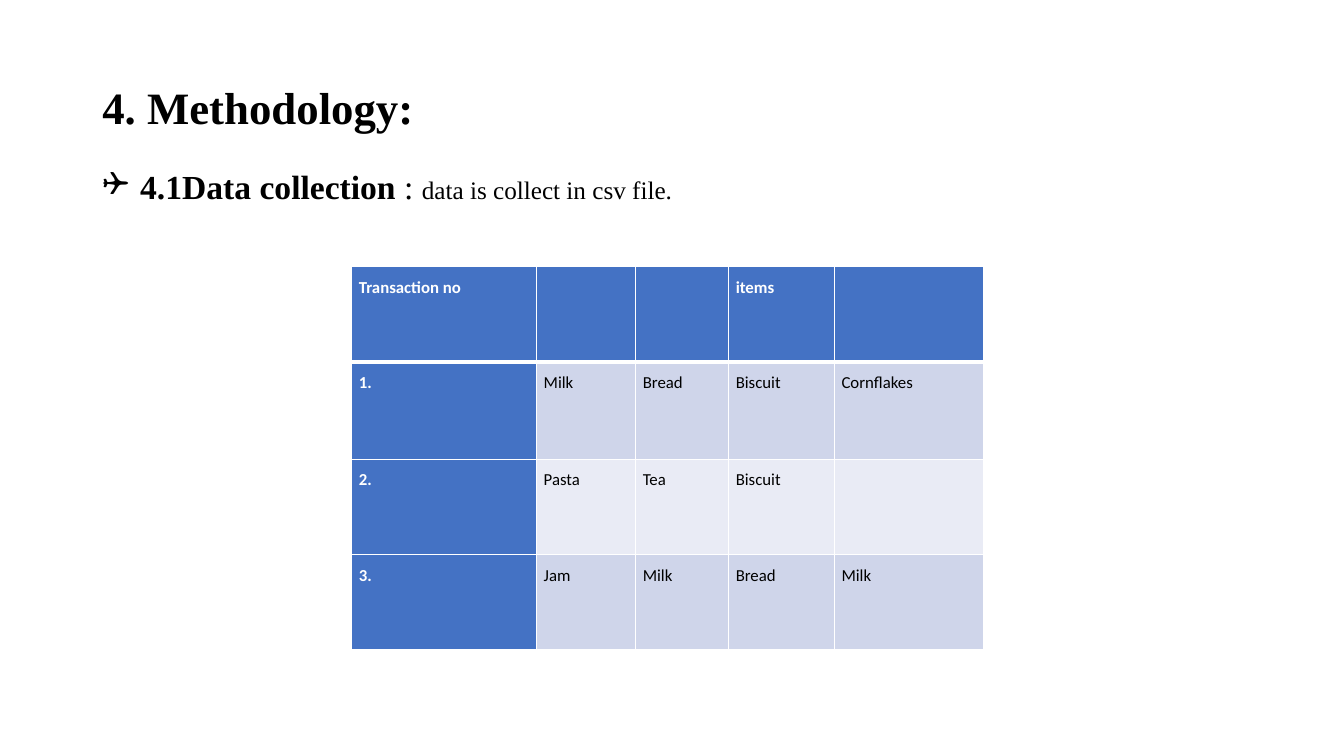
from lxml import etree
from pptx import Presentation
from pptx.dml.color import RGBColor
from pptx.enum.text import MSO_ANCHOR, PP_ALIGN
from pptx.oxml.ns import qn
from pptx.util import Pt

MIDDLE, TOP = MSO_ANCHOR.MIDDLE, MSO_ANCHOR.TOP
JUSTIFY = PP_ALIGN.JUSTIFY
SERIF, SANS = "Times New Roman", "Calibri"
BLACK, WHITE, BLUE = "000000", "FFFFFF", "4472C4"
BANDS = ["CFD5EA", "E9EBF5"]


def add_run(para, text, size, font, color, bold):
    """Append one styled run to a paragraph."""
    run = para.add_run()
    run.text = text
    run.font.size = Pt(size)
    run.font.name = font
    run.font.bold = bold
    run.font.color.rgb = RGBColor.from_string(color)


def add_box(top, height, anchor):
    """Add a full-width text box and return its first paragraph."""
    box = slide.shapes.add_textbox(Pt(66), Pt(top), Pt(828), Pt(height))
    box.text_frame.word_wrap = True
    box.text_frame.vertical_anchor = anchor
    para = box.text_frame.paragraphs[0]
    para.line_spacing = 0.9
    return para


deck = Presentation()
deck.slide_width, deck.slide_height = Pt(960), Pt(540)
slide = deck.slides.add_slide(deck.slide_layouts[6])

# Heading
title = add_box(26.6, 104.4, MIDDLE)
add_run(title, "4. Methodology:", 32, SERIF, BLACK, True)

# Bulleted step
step = add_box(118, 368.6, TOP)
step.space_before = Pt(10)
props = step._p.get_or_add_pPr()
props.set("marL", str(Pt(27)))
props.set("indent", str(Pt(-27)))
etree.SubElement(props, qn("a:buFont")).set("typeface", "Wingdings")
etree.SubElement(props, qn("a:buChar")).set("char", "\u2751")
add_run(step, "4.1Data collection ", 24, SERIF, BLACK, True)
add_run(step, ": ", 24, SERIF, BLACK, False)
add_run(step, "data is collect in csv file.", 18, SERIF, BLACK, False)

# Transactions table
rows = [
    ["Transaction no", "", "", "items", ""],
    ["1.", "Milk", "Bread", "Biscuit", "Cornflakes"],
    ["2.", "Pasta", "Tea", "Biscuit", ""],
    ["3.", "Jam", "Milk", "Bread", "Milk"],
]
widths = [132, 70.8, 66.4, 75.6, 106.6]
heights = [68, 69.8, 68, 68]
table = slide.shapes.add_table(
    len(rows), len(widths), Pt(251.2), Pt(190.6), Pt(sum(widths)), Pt(sum(heights))
).table
for col, width in zip(table.columns, widths):
    col.width = Pt(width)
for row, height in zip(table.rows, heights):
    row.height = Pt(height)

for r, words in enumerate(rows):
    for c, word in enumerate(words):
        cell = table.cell(r, c)
        head = r == 0 or c == 0
        cell.fill.solid()
        fill = BLUE if head else BANDS[(r - 1) % 2]
        cell.fill.fore_color.rgb = RGBColor.from_string(fill)
        cell.margin_left = cell.margin_right = Pt(5.2)
        cell.margin_top = cell.margin_bottom = 0

        # White rules, thicker between the header and the body
        thick = {"lnB": r == 0, "lnT": r == 1}
        for i, side in enumerate(["lnL", "lnR", "lnT", "lnB"]):
            line = etree.Element(qn("a:" + side))
            line.set("w", str(Pt(3 if thick.get(side) else 1)))
            paint = etree.SubElement(line, qn("a:solidFill"))
            etree.SubElement(paint, qn("a:srgbClr")).set("val", WHITE)
            cell._tc.get_or_add_tcPr().insert(i, line)

        if word:
            para = cell.text_frame.paragraphs[0]
            para.alignment = JUSTIFY
            para.line_spacing = 1.5
            add_run(para, word, 12, SANS, WHITE if head else BLACK, head)

deck.save("out.pptx")
